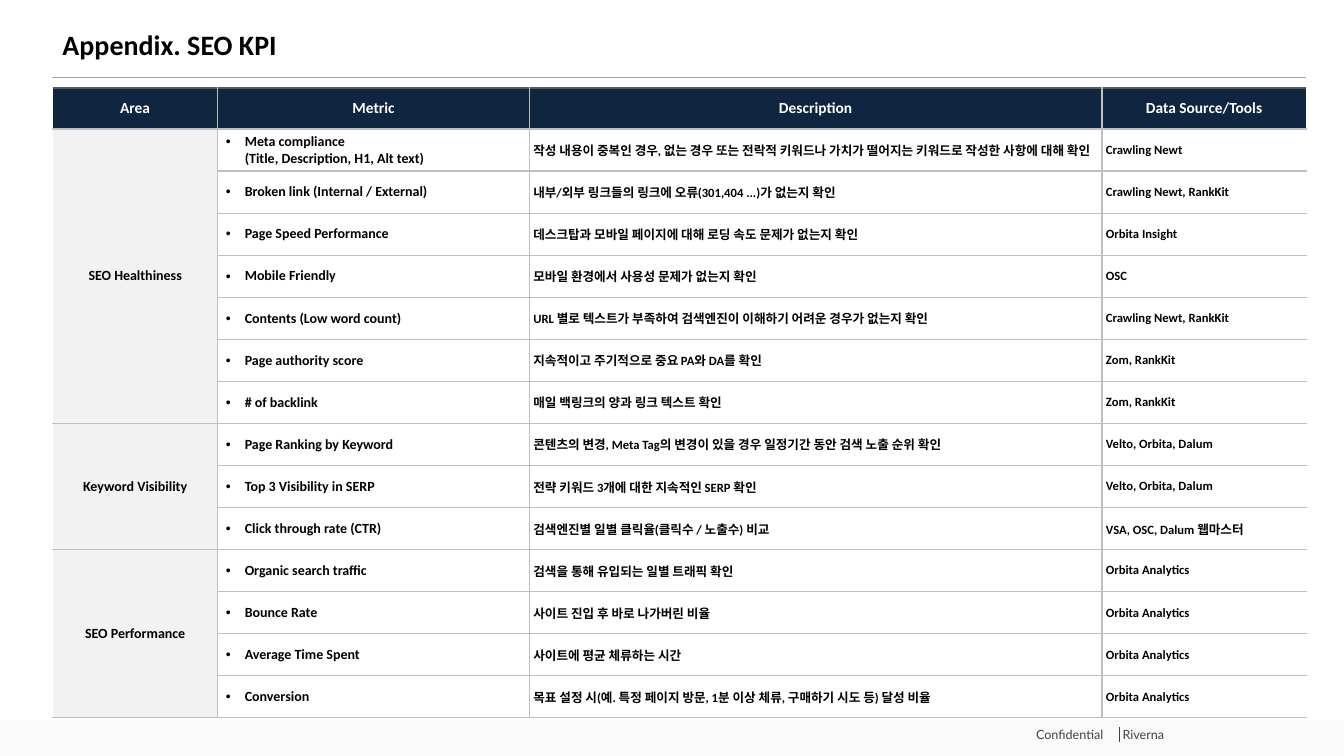
from lxml.etree import SubElement
from pptx import Presentation
from pptx.dml.color import RGBColor
from pptx.enum.shapes import MSO_CONNECTOR, MSO_SHAPE
from pptx.enum.text import MSO_ANCHOR, PP_ALIGN
from pptx.oxml.ns import qn
from pptx.util import Cm, Pt

COLORS = {
    "black": "000000", "white": "FFFFFF", "navy": "10253F", "area": "F2F2F2",
    "grid": "BFBFBF", "header_top": "595959", "rule": "A6A6A6",
    "footer": "FAFAFA", "footer_text": "424243",
}
SLIDE_WIDTH, SLIDE_HEIGHT = 33.87, 19.05
LEFT, CONTENT_WIDTH = 1.32, 31.6
COLUMN_WIDTHS = [4.17, 7.85, 14.43, 5.15]
HEADERS = ["Area", "Metric", "Description", "Data Source/Tools"]

# Area -> rows of metric, description, tools
AREAS = {
    "SEO Healthiness": [
        ("Meta compliance\n(Title, Description, H1, Alt text)",
         "작성 내용이 중복인 경우, 없는 경우 또는 전락적 키워드나 가치가 떨어지는 키워드로 작성한 사항에 대해 확인",
         "Crawling Newt"),
        ("Broken link (Internal / External)",
         "내부/외부 링크들의 링크에 오류(301,404 ...)가 없는지 확인", "Crawling Newt, RankKit"),
        ("Page Speed Performance",
         "데스크탑과 모바일 페이지에 대해 로딩 속도 문제가 없는지 확인", "Orbita Insight"),
        ("Mobile Friendly", "모바일 환경에서 사용성 문제가 없는지 확인", "OSC"),
        ("Contents (Low word count)",
         "URL 별로 텍스트가 부족하여 검색엔진이 이해하기 어려운 경우가 없는지 확인",
         "Crawling Newt, RankKit"),
        ("Page authority score", "지속적이고 주기적으로 중요 PA와 DA를 확인", "Zom, RankKit"),
        ("# of backlink", "매일 백링크의 양과 링크 텍스트 확인", "Zom, RankKit"),
    ],
    "Keyword Visibility": [
        ("Page Ranking by Keyword",
         "콘텐츠의 변경, Meta Tag의 변경이 있을 경우 일정기간 동안 검색 노출 순위 확인",
         "Velto, Orbita, Dalum"),
        ("Top 3 Visibility in SERP", "전략 키워드 3개에 대한 지속적인 SERP 확인",
         "Velto, Orbita, Dalum"),
        ("Click through rate (CTR)", "검색엔진별 일별 클릭율(클릭수 / 노출수) 비교",
         "VSA, OSC, Dalum 웹마스터"),
    ],
    "SEO Performance": [
        ("Organic search traffic", "검색을 통해 유입되는 일별 트래픽 확인", "Orbita Analytics"),
        ("Bounce Rate", "사이트 진입 후 바로 나가버린 비율", "Orbita Analytics"),
        ("Average Time Spent", "사이트에 평균 체류하는 시간", "Orbita Analytics"),
        ("Conversion",
         "목표 설정 시(예. 특정 페이지 방문, 1분 이상 체류, 구매하기 시도 등) 달성 비율",
         "Orbita Analytics"),
    ],
}


def color(name):
    return RGBColor.from_string(COLORS[name])


def set_font(paragraph, name, size, color_name, bold=False):
    paragraph.font.name = name
    paragraph.font.size = Pt(size)
    paragraph.font.bold = bold
    paragraph.font.color.rgb = color(color_name)


def add_line(slide, start, end, color_name, width):
    line = slide.shapes.add_connector(
        MSO_CONNECTOR.STRAIGHT, *(Cm(value) for value in start + end))
    line.line.color.rgb = color(color_name)
    line.line.width = Pt(width)
    SubElement(line._element.spPr, qn("a:effectLst"))


def add_footer(slide, top, height):
    band = slide.shapes.add_shape(
        MSO_SHAPE.RECTANGLE, 0, Cm(top), Cm(SLIDE_WIDTH), Cm(height))
    band.shadow.inherit = False
    band.fill.solid()
    band.fill.fore_color.rgb = color("footer")
    band.line.fill.background()

    divider = 28.2
    add_line(slide, (divider, top + 0.17), (divider, top + 0.56), "footer_text", 0.5)

    box = slide.shapes.add_textbox(Cm(25.86), Cm(top + 0.05), Cm(5.26), Cm(0.64))
    box.text_frame.word_wrap = True
    paragraph = box.text_frame.paragraphs[0]
    paragraph.text = "Confidential\tRiverna"
    # Tab stop just right of the divider
    tabs = SubElement(paragraph._p.get_or_add_pPr(), qn("a:tabLst"))
    SubElement(tabs, qn("a:tab"), pos=str(Cm(2.18)), algn="l")
    set_font(paragraph, "Lato", 9, "footer_text")


def add_title(slide, top, height):
    title = slide.shapes.title
    title.left, title.top = Cm(LEFT), Cm(top)
    title.width, title.height = Cm(CONTENT_WIDTH), Cm(height)
    title.text_frame.text = "Appendix. SEO KPI"
    title.text_frame.vertical_anchor = MSO_ANCHOR.MIDDLE
    paragraph = title.text_frame.paragraphs[0]
    paragraph.alignment = PP_ALIGN.LEFT
    paragraph.line_spacing = 0.9
    set_font(paragraph, "Calibri", 20, "black", True)
    rule_top = top + height + 0.13
    add_line(slide, (LEFT, rule_top), (LEFT + CONTENT_WIDTH, rule_top), "rule", 1)


def set_borders(cell, row, column):
    sides = {
        "lnL": ("white" if column == 0 else "grid", 1),
        "lnR": ("white" if column == len(HEADERS) - 1 else "grid", 1),
        "lnT": ("header_top", 1.5) if row == 0 else ("grid", 1),
        "lnB": ("grid", 1),
    }
    properties = cell._tc.get_or_add_tcPr()
    for side, (color_name, width) in sides.items():
        border = SubElement(properties, qn(f"a:{side}"), w=str(Pt(width)))
        fill = SubElement(border, qn("a:solidFill"))
        SubElement(fill, qn("a:srgbClr"), val=COLORS[color_name])


def fill_cell(cell, text, row, column):
    is_header, is_area, is_metric = row == 0, column == 0, column == 1
    set_borders(cell, row, column)
    cell.fill.solid()
    cell.fill.fore_color.rgb = color(
        "navy" if is_header else "area" if is_area else "white")
    cell.vertical_anchor = MSO_ANCHOR.MIDDLE
    cell.margin_left = Cm(0.2 if is_metric and not is_header else 0.1)
    cell.margin_top = cell.margin_right = cell.margin_bottom = Cm(0.1)

    paragraph = cell.text_frame.paragraphs[0]
    paragraph.text = text
    paragraph.alignment = PP_ALIGN.CENTER if is_header or is_area else PP_ALIGN.LEFT
    if is_metric and not is_header:
        properties = paragraph._p.get_or_add_pPr()
        properties.set("marL", str(Cm(0.48)))
        properties.set("indent", str(-Cm(0.48)))
        SubElement(properties, qn("a:buFont"), typeface="Arial")
        SubElement(properties, qn("a:buChar"), char="•")
    size = 11 if is_header else 10 if column < 2 else 9
    set_font(paragraph, "Calibri", size, "white" if is_header else "black", True)


def add_kpi_table(slide, top, height):
    rows = [HEADERS]
    for area, metrics in AREAS.items():
        for index, metric in enumerate(metrics):
            rows.append(["" if index else area, *metric])

    table = slide.shapes.add_table(
        len(rows), len(HEADERS), Cm(LEFT), Cm(top), Cm(CONTENT_WIDTH), Cm(height)).table
    table.horz_banding = False
    for column, width in zip(table.columns, COLUMN_WIDTHS):
        column.width = Cm(width)
    for row_index, texts in enumerate(rows):
        table.rows[row_index].height = Cm(1.06 if row_index else 1.04)
        for column_index, text in enumerate(texts):
            fill_cell(table.cell(row_index, column_index), text, row_index, column_index)

    # Merge each area over its metrics
    first = 1
    for metrics in AREAS.values():
        last = first + len(metrics) - 1
        table.cell(first, 0).merge(table.cell(last, 0))
        first = last + 1


def main():
    presentation = Presentation()
    presentation.slide_width = Cm(SLIDE_WIDTH)
    presentation.slide_height = Cm(SLIDE_HEIGHT)
    slide = presentation.slides.add_slide(presentation.slide_layouts[5])
    add_footer(slide, top=18.14, height=0.91)
    add_title(slide, top=0.53, height=1.3)
    add_kpi_table(slide, top=2.21, height=15.88)
    presentation.save("out.pptx")


if __name__ == "__main__":
    main()
